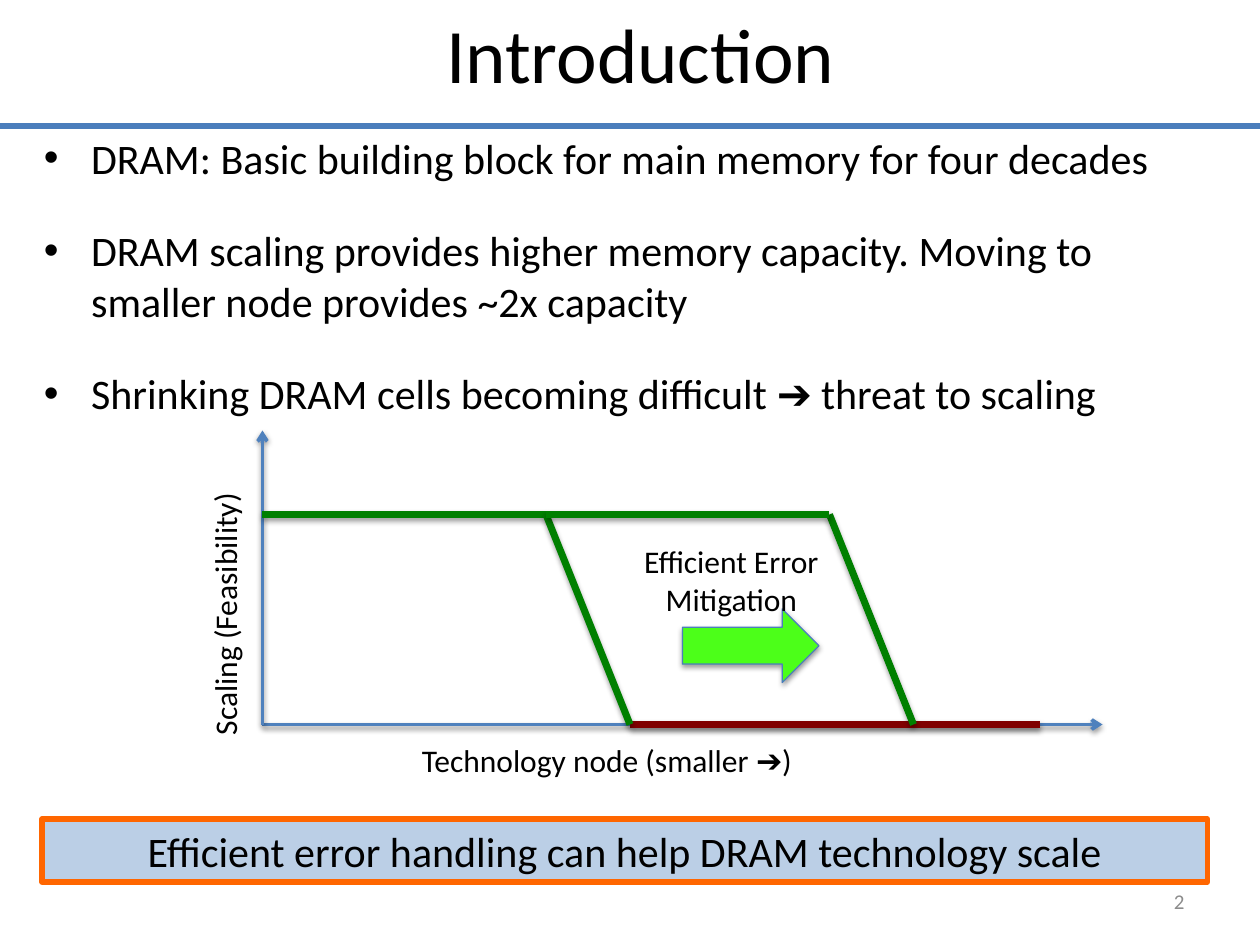
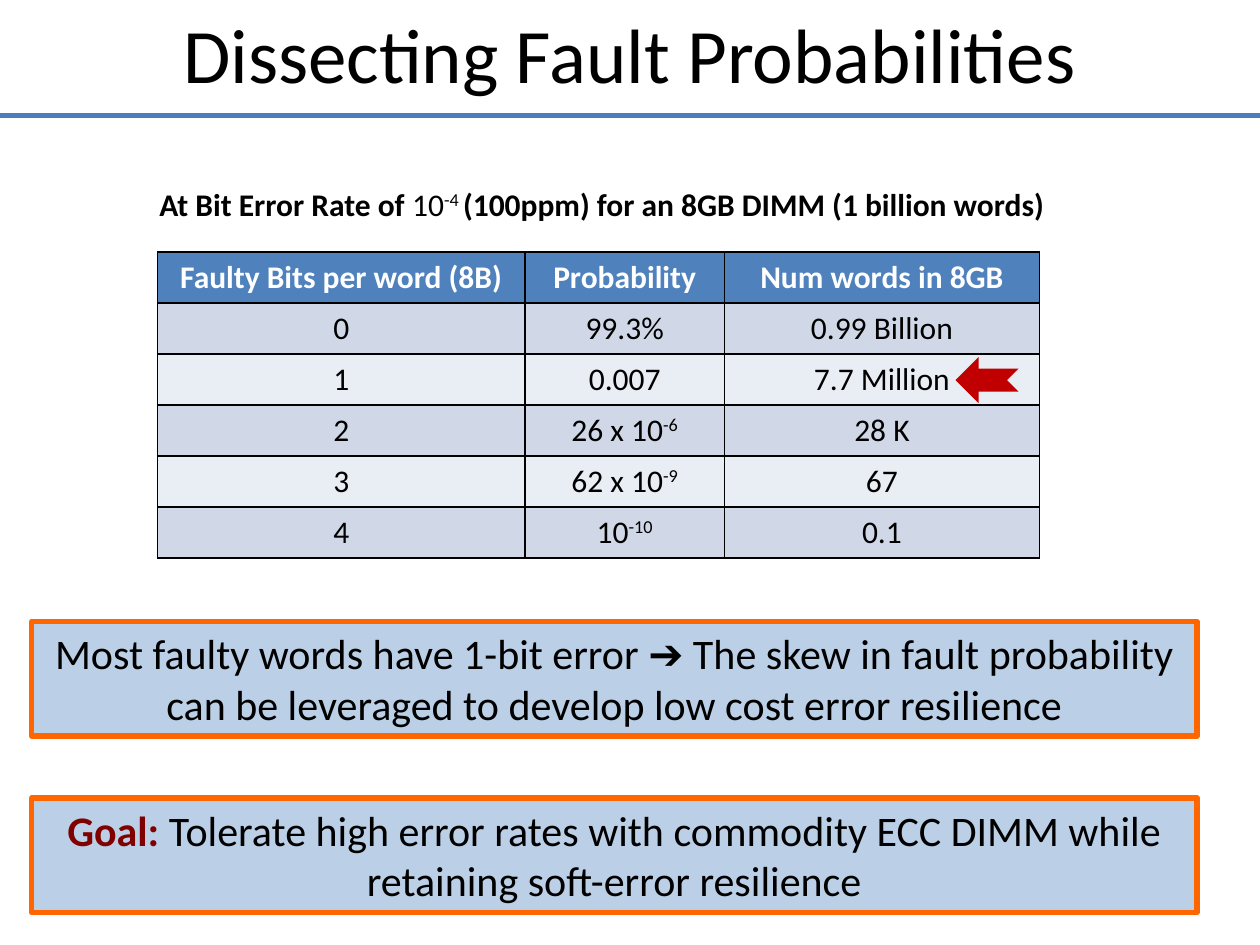
"""Build two slides on DRAM scaling and fault probabilities."""
from dataclasses import dataclass
from typing import Optional, Sequence

from lxml import etree
from pptx import Presentation
from pptx.dml.color import RGBColor
from pptx.enum.shapes import MSO_CONNECTOR, MSO_SHAPE
from pptx.enum.text import MSO_ANCHOR, PP_ALIGN
from pptx.oxml.ns import qn
from pptx.util import Emu, Inches, Pt

STRAIGHT = MSO_CONNECTOR.STRAIGHT
RECT = MSO_SHAPE.RECTANGLE
RIGHT_ARROW = MSO_SHAPE.RIGHT_ARROW
NOTCHED_ARROW = MSO_SHAPE.NOTCHED_RIGHT_ARROW
LEFT, CENTER, RIGHT = PP_ALIGN.LEFT, PP_ALIGN.CENTER, PP_ALIGN.RIGHT
TOP, MIDDLE = MSO_ANCHOR.TOP, MSO_ANCHOR.MIDDLE

BLACK = RGBColor(0x00, 0x00, 0x00)
WHITE = RGBColor(0xFF, 0xFF, 0xFF)
GRAY = RGBColor(0x8C, 0x8C, 0x8C)
BLUE = RGBColor(0x4F, 0x81, 0xBD)
RULE_BLUE = RGBColor(0x4B, 0x7E, 0xBC)
PALE_BLUE = RGBColor(0xBB, 0xCF, 0xE6)
ORANGE = RGBColor(0xFF, 0x66, 0x00)
GREEN = RGBColor(0x00, 0x80, 0x00)
LIME = RGBColor(0x4C, 0xFF, 0x19)
MAROON = RGBColor(0x80, 0x00, 0x00)
RED = RGBColor(0xC0, 0x00, 0x00)
BAND_DARK = RGBColor(0xD0, 0xD8, 0xE8)
BAND_LIGHT = RGBColor(0xE9, 0xED, 0xF4)

FONT = "Calibri"
WIDTH, HEIGHT = Inches(10), Inches(7.5)
COLS, ROWS = 120, 90
TITLE_SIZE, BODY_SIZE, LABEL_SIZE, NUMBER_SIZE = 44, 24, 18, 12


@dataclass(frozen=True)
class Box:
    """Area in grid columns and rows."""
    col: float
    row: float
    cols: float
    rows: float

    def emu(self) -> tuple:
        return x(self.col), y(self.row), x(self.cols), y(self.rows)


@dataclass(frozen=True)
class Span:
    """Piece of text with its own look."""
    text: str
    bold: bool = False
    color: RGBColor = BLACK
    raised: bool = False


@dataclass(frozen=True)
class Stroke:
    """Line between two grid points."""
    start: tuple
    end: tuple
    color: RGBColor
    width: float = 4
    arrow: bool = False
    shadow: bool = True


@dataclass(frozen=True)
class Label:
    """Text box that keeps its lines unwrapped unless told otherwise."""
    box: Box
    lines: Sequence
    size: float = LABEL_SIZE
    align: PP_ALIGN = LEFT
    anchor: MSO_ANCHOR = TOP
    color: RGBColor = BLACK
    wrap: bool = False
    rotation: float = 0


def x(cols: float) -> Emu:
    return Emu(round(WIDTH * cols / COLS))


def y(rows: float) -> Emu:
    return Emu(round(HEIGHT * rows / ROWS))


def style_run(r, size: float, span: Span) -> None:
    r.font.name, r.font.size, r.font.bold = FONT, Pt(size), span.bold
    r.font.color.rgb = span.color
    if span.raised:
        r.font._element.set("baseline", "30000")


def write(p, spans: Sequence[Span], size: float, align: PP_ALIGN) -> None:
    p.alignment = align
    for span in spans:
        r = p.add_run()
        r.text = span.text
        style_run(r, size, span)


def set_effects(sp, shadow: bool) -> None:
    props = sp._element.spPr
    for old in props.findall(qn("a:effectLst")):
        props.remove(old)
    effects = etree.SubElement(props, qn("a:effectLst"))
    if shadow:
        outer = etree.SubElement(effects, qn("a:outerShdw"), blurRad=str(Pt(3.1)),
                                 dist=str(Pt(1.6)), dir="5400000", rotWithShape="0")
        color = etree.SubElement(outer, qn("a:srgbClr"), val=str(BLACK))
        etree.SubElement(color, qn("a:alpha"), val="38000")


def add_stroke(slide, stroke: Stroke) -> None:
    (c1, r1), (c2, r2) = stroke.start, stroke.end
    line = slide.shapes.add_connector(STRAIGHT, x(c1), y(r1), x(c2), y(r2))
    line.line.color.rgb, line.line.width = stroke.color, Pt(stroke.width)
    if stroke.arrow:
        etree.SubElement(line.line._get_or_add_ln(), qn("a:tailEnd"), type="arrow")
    set_effects(line, stroke.shadow)


def add_label(slide, label: Label) -> None:
    sp = slide.shapes.add_textbox(*label.box.emu())
    sp.rotation = label.rotation
    tf = sp.text_frame
    tf.word_wrap, tf.vertical_anchor = label.wrap, label.anchor
    for i, line in enumerate(label.lines):
        p = tf.add_paragraph() if i else tf.paragraphs[0]
        spans = [Span(line, color=label.color)] if isinstance(line, str) else line
        write(p, spans, label.size, label.align)


def add_block(slide, kind: MSO_SHAPE, box: Box, fill: RGBColor,
              line: Optional[RGBColor] = None, width: float = 0.75, shadow: bool = False):
    sp = slide.shapes.add_shape(kind, *box.emu())
    sp.fill.solid()
    sp.fill.fore_color.rgb = fill
    if line is None:
        sp.line.fill.background()
    else:
        sp.line.color.rgb, sp.line.width = line, Pt(width)
    sp.shadow.inherit = False
    set_effects(sp, shadow)
    return sp


def add_callout(slide, box: Box, *spans: Span) -> None:
    sp = add_block(slide, RECT, box, PALE_BLUE, ORANGE, 3)
    tf = sp.text_frame
    tf.word_wrap, tf.vertical_anchor = True, TOP
    write(tf.paragraphs[0], spans, BODY_SIZE, CENTER)


def add_titled_slide(prs, title: str, title_col: float, rule_row: float):
    slide = prs.slides.add_slide(prs.slide_layouts[6])
    box = Box(title_col, 0, 114 - title_col, 11.5)
    add_label(slide, Label(box, [title], TITLE_SIZE, CENTER, wrap=True))
    add_stroke(slide, Stroke((0, rule_row), (COLS, rule_row), RULE_BLUE, 3, shadow=False))
    return slide


def add_bullets(slide, box: Box, lines: Sequence[str]) -> None:
    tf = slide.shapes.add_textbox(*box.emu()).text_frame
    tf.word_wrap = True
    for i, text in enumerate(lines):
        p = tf.add_paragraph() if i else tf.paragraphs[0]
        p.text = text
        props = p._p.get_or_add_pPr()
        props.set("marL", str(x(4.5)))
        props.set("indent", str(-x(4.5)))
        etree.SubElement(props, qn("a:buFont"), typeface="Arial")
        etree.SubElement(props, qn("a:buChar"), char="•")
        if i:
            p.space_before = Pt(24)
        style_run(p.runs[0], BODY_SIZE, Span(text))


def add_borders(cell) -> None:
    props = cell._tc.get_or_add_tcPr()
    for side in ("lnL", "lnR", "lnT", "lnB"):
        ln = etree.SubElement(props, qn(f"a:{side}"), w=str(Pt(1)))
        fill = etree.SubElement(ln, qn("a:solidFill"))
        etree.SubElement(fill, qn("a:srgbClr"), val=str(BLACK))


def add_fault_table(slide, col: float, row: float, widths: Sequence[float],
                    row_height: float, rows: Sequence) -> None:
    box = Box(col, row, sum(widths), row_height * len(rows))
    table = slide.shapes.add_table(len(rows), len(widths), *box.emu()).table
    for column, width in zip(table.columns, widths):
        column.width = x(width)
    for i, values in enumerate(rows):
        table.rows[i].height = y(row_height)
        fill = BLUE if i == 0 else BAND_DARK if i % 2 else BAND_LIGHT
        for j, value in enumerate(values):
            cell = table.cell(i, j)
            add_borders(cell)
            cell.fill.solid()
            cell.fill.fore_color.rgb = fill
            base, _, power = value.partition("^")
            spans = [Span(base, i == 0, WHITE if i == 0 else BLACK)]
            if power:
                spans.append(Span(power, raised=True))
            write(cell.text_frame.paragraphs[0], spans, LABEL_SIZE, CENTER)


def build_introduction(prs) -> None:
    slide = add_titled_slide(prs, "Introduction", 8, 12)
    add_bullets(slide, Box(3, 12, 114, 28), [
        "DRAM: Basic building block for main memory for four decades",
        "DRAM scaling provides higher memory capacity. Moving to smaller node "
        "provides ~2x capacity",
        "Shrinking DRAM cells becoming difficult ➔ threat to scaling",
    ])
    add_label(slide, Label(Box(86, 83.4, 28, 4.8), ["2"], NUMBER_SIZE, RIGHT, MIDDLE,
                           GRAY, wrap=True))
    add_callout(slide, Box(4, 78, 111, 6),
                Span("Efficient error handling can help DRAM technology scale"))

    origin, top, base = (25, 69), 49, 69
    for stroke in (
        Stroke(origin, (105, base), BLUE, 2, arrow=True),
        Stroke(origin, (25, 41), BLUE, 2, arrow=True),
        Stroke((25, top), (52, top), GREEN),
        Stroke((60, base), (99, base), MAROON),
        Stroke((52, top), (60, base), GREEN),
        Stroke((79, top), (87, base), GREEN),
        Stroke((52, top), (79, top), GREEN),
    ):
        add_stroke(slide, stroke)
    add_block(slide, RIGHT_ARROW, Box(65, 58, 13, 7), LIME, RULE_BLUE, shadow=True)
    for label in (
        Label(Box(39, 70, 39, 4.8), ["Technology node (smaller ➔)"]),
        Label(Box(60, 51, 19.3, 8.5), ["Efficient Error", "Mitigation"], align=CENTER),
        Label(Box(8.5, 55.9, 25.8, 4.8), ["Scaling (Feasibility)"], rotation=270),
    ):
        add_label(slide, label)


def build_fault_probabilities(prs) -> None:
    slide = add_titled_slide(prs, "Dissecting Fault Probabilities", 6, 11)
    add_label(slide, Label(Box(14, 17, 88, 4.8), [[
        Span("At Bit Error Rate of ", bold=True),
        Span("10"),
        Span("-4 ", raised=True),
        Span("(100ppm) for an 8GB DIMM (1 billion words)", bold=True),
    ]]))
    add_fault_table(slide, 15, 24, (35, 19, 30), 4.86, [
        ("Faulty Bits per word (8B)", "Probability", "Num words in 8GB"),
        ("0", "99.3%", "0.99 Billion"),
        ("1", "0.007", "7.7 Million"),
        ("2", "26 x 10^-6", "28 K"),
        ("3", "62 x 10^-9", "67"),
        ("4", "10^-10", "0.1"),
    ])
    add_block(slide, NOTCHED_ARROW, Box(91, 34, 6, 4.4), RED).rotation = 180
    add_callout(slide, Box(3, 59.2, 111, 10.9), Span(
        "Most faulty words have 1-bit error ➔ The skew in fault probability can be "
        "leveraged to develop low cost error resilience"))
    add_callout(slide, Box(3, 76, 111, 10.9), Span("Goal: ", True, MAROON), Span(
        "Tolerate high error rates with commodity ECC DIMM while retaining "
        "soft-error resilience"))


def main() -> None:
    prs = Presentation()
    prs.slide_width, prs.slide_height = WIDTH, HEIGHT
    build_introduction(prs)
    build_fault_probabilities(prs)
    prs.save("out.pptx")


if __name__ == "__main__":
    main()
